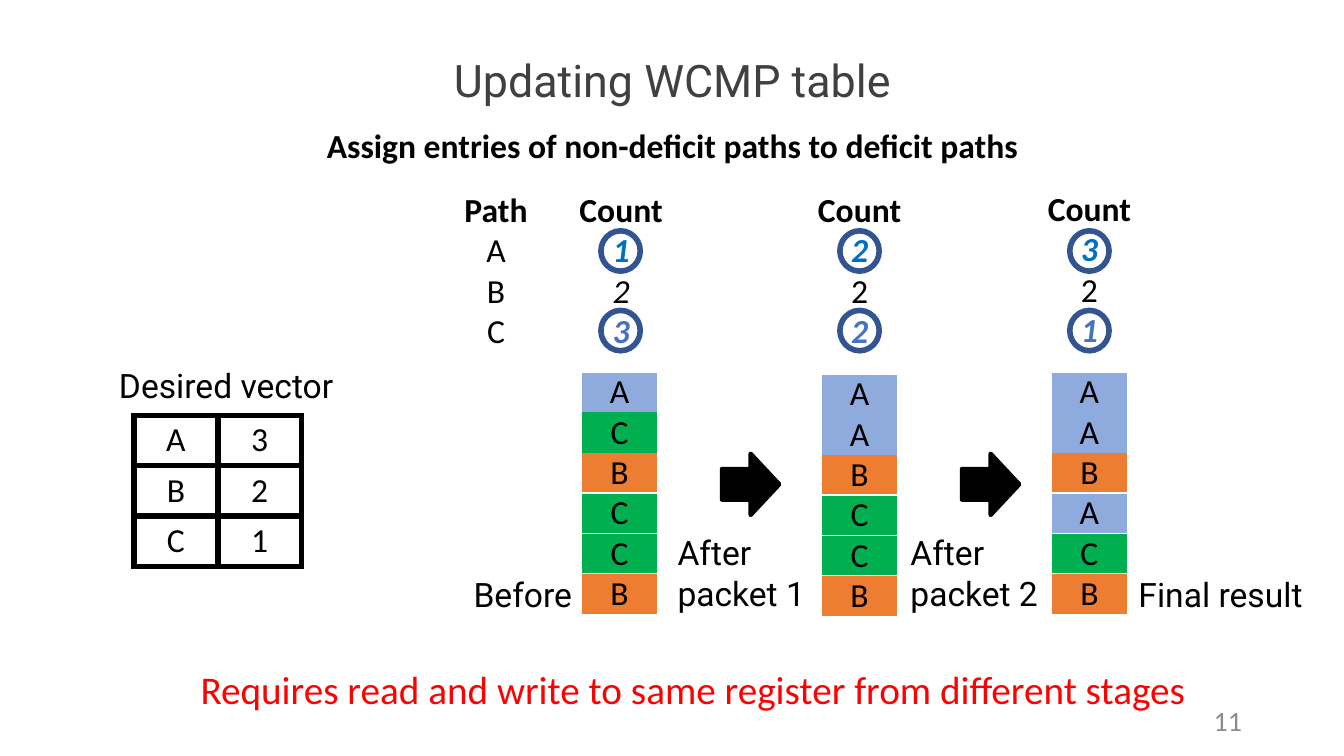
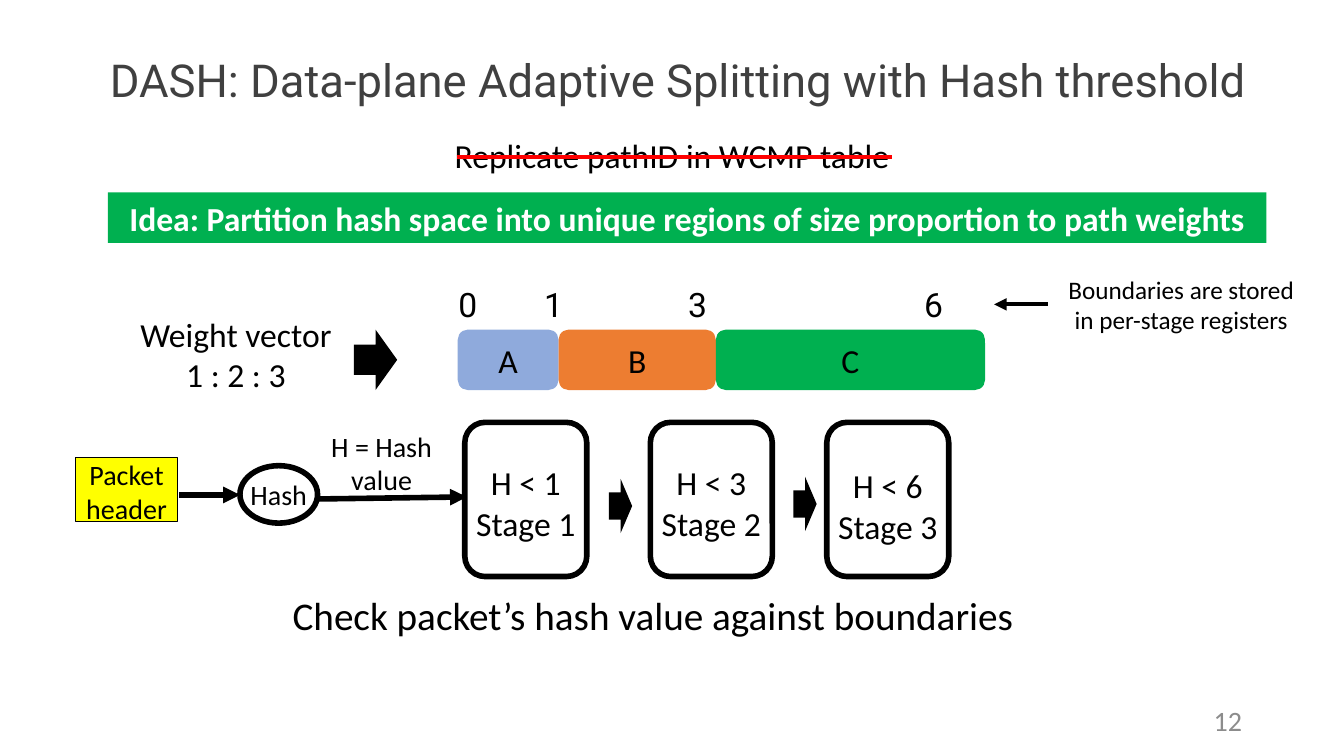
from dataclasses import dataclass

from lxml import etree
from pptx import Presentation
from pptx import util as u
from pptx.dml.color import RGBColor
from pptx.enum import shapes, text
from pptx.oxml.ns import qn

PX = 9144  # EMU in one px, 100 px to the inch
BLACK = RGBColor(0, 0, 0)
WHITE = RGBColor(255, 255, 255)
GREY = RGBColor(0x40, 0x40, 0x40)
PALE = RGBColor(0x8C, 0x8C, 0x8C)
RED = RGBColor(255, 0, 0)
YELLOW = RGBColor(255, 255, 0)
NAVY = RGBColor(0x32, 0x54, 0x91)
AZURE = RGBColor(0x00, 0x70, 0xC0)
BLUE = RGBColor(0x44, 0x72, 0xC4)
PATHS = {
    "A": RGBColor(0x8F, 0xAA, 0xDC),
    "B": RGBColor(0xED, 0x7D, 0x31),
    "C": RGBColor(0x00, 0xB0, 0x50),
}
GREEN = PATHS["C"]

BODY, HEAD = "Calibri", "Roboto"
LEFT, MID, RIGHT = text.PP_ALIGN.LEFT, text.PP_ALIGN.CENTER, text.PP_ALIGN.RIGHT
TOP, CENTER = text.MSO_ANCHOR.TOP, text.MSO_ANCHOR.MIDDLE
KIND = shapes.MSO_SHAPE


def px(*sizes):
    return [u.Emu(size * PX) for size in sizes]


@dataclass
class Cell:
    text: str
    color: RGBColor = BLACK
    bold: bool = False
    slant: bool = False
    fill: RGBColor = None
    sides: str = ""
    edge: RGBColor = WHITE
    line: float = 1


class Deck:
    def __init__(self, wide, high):
        self.show = Presentation()
        self.show.slide_width, self.show.slide_height = px(wide, high)
        self.page = None

    def slide(self, title, number, x, wide, size):
        """Start a slide with its title and page number."""
        self.page = self.show.slides.add_slide(self.show.slide_layouts[6])
        box = self.label([title], x, 40, wide, 85, size, GREY, font=HEAD, anchor=CENTER)
        box.text_frame.paragraphs[0].line_spacing = 0.9
        self.label([str(number)], 942, 695, 290, 40, 20, PALE, align=RIGHT, anchor=CENTER)

    def words(self, frame, lines, size=24, color=BLACK, bold=False, slant=False,
              font=BODY, align=MID):
        for i, line in enumerate(lines):
            para = frame.paragraphs[0] if i == 0 else frame.add_paragraph()
            para.alignment = align
            run = para.add_run()
            run.text = line
            run.font.name, run.font.size = font, u.Pt(size)
            run.font.bold, run.font.italic = bold, slant
            run.font.color.rgb = color

    def frame(self, frame, anchor, drop=0, wrap=True):
        frame.word_wrap = wrap
        frame.vertical_anchor = anchor
        frame.margin_left = frame.margin_right = frame.margin_bottom = 0
        frame.margin_top = px(drop)[0]

    def label(self, lines, x, y, wide, high, size=24, color=BLACK, anchor=TOP, **look):
        box = self.page.shapes.add_textbox(*px(x, y, wide, high))
        self.frame(box.text_frame, anchor, 5 if anchor == TOP else 0)
        self.words(box.text_frame, lines, size, color, **look)
        return box

    def shape(self, kind, x, y, wide, high, fill=None, edge=None, line=1, lines=(),
              anchor=CENTER, drop=0, **look):
        form = self.page.shapes.add_shape(kind, *px(x, y, wide, high))
        form.shadow.inherit = False
        if fill is None:
            form.fill.background()
        else:
            form.fill.solid()
            form.fill.fore_color.rgb = fill
        if edge is None:
            form.line.fill.background()
        else:
            form.line.color.rgb = edge
            form.line.width = u.Pt(line)
        if lines:
            self.frame(form.text_frame, anchor, drop, wrap=False)
            self.words(form.text_frame, lines, **look)

    def line(self, x1, y1, x2, y2, color=BLACK, width=4, arrow=True):
        link = self.page.shapes.add_connector(
            shapes.MSO_CONNECTOR.STRAIGHT, *px(x1, y1, x2, y2))
        link.line.color.rgb = color
        link.line.width = u.Pt(width)
        props = link._element.spPr
        if arrow:
            etree.SubElement(props.find(qn("a:ln")), qn("a:tailEnd"), type="triangle")
        etree.SubElement(props, qn("a:effectLst"))

    def table(self, x, y, wide, high, rows):
        """Draw rows of cells, each cell wide by high px."""
        count, cols = len(rows), len(rows[0])
        grid = self.page.shapes.add_table(
            count, cols, *px(x, y, wide * cols, high * count)).table
        grid.first_row = grid.horz_banding = False
        for r, row in enumerate(rows):
            for c, item in enumerate(row):
                self.cell(grid.cell(r, c), item)

    def cell(self, box, item):
        box.margin_left = box.margin_right = box.margin_top = box.margin_bottom = 0
        box.vertical_anchor = CENTER
        self.words(box.text_frame, [item.text], color=item.color,
                   bold=item.bold, slant=item.slant)
        props = box._tc.get_or_add_tcPr()
        for side in "LRTB":
            edge = etree.SubElement(props, qn("a:ln" + side), w=str(u.Pt(item.line)))
            if side in item.sides:
                fill = etree.SubElement(edge, qn("a:solidFill"))
                etree.SubElement(fill, qn("a:srgbClr"), val=str(item.edge))
            else:
                etree.SubElement(edge, qn("a:noFill"))
        if item.fill is None:
            box.fill.background()
        else:
            box.fill.solid()
            box.fill.fore_color.rgb = item.fill


def counts(first, second, third, slant=False):
    """Column of path counts with the two changed ones in blue."""
    return [Cell("Count", bold=True), Cell(first, AZURE, True, True),
            Cell(second, slant=slant), Cell(third, BLUE, True, True)]


def update(deck):
    deck.slide("Updating WCMP table", 11, 92, 1150, 32)
    deck.label(["Assign entries of non-deficit paths to deficit paths"],
               92, 119, 1150, 50, bold=True)
    deck.label(["Requires read and write to same register from different stages"],
               179, 655, 1016, 57, 28, RED)

    # Path counts at each step
    names = [Cell("Path", bold=True)] + [Cell(name) for name in PATHS]
    deck.table(430, 189, 124, 40, list(zip(names, counts("1", "2", "3", True))))
    deck.table(807, 189, 91, 40, [[item] for item in counts("2", "2", "2")])
    deck.table(1035, 188, 91, 40, [[item] for item in counts("3", "2", "1")])
    for x in (596, 833, 1061):
        for y in (229, 308):
            deck.shape(KIND.OVAL, x, y, 39, 40, edge=NAVY, line=4)

    # Table entries at each step
    sides = ["LTR", "", "LRB", "LTRB", "LTRB", "LTRB"]
    for x, y, entries in ((577, 369, "ACBCCB"), (815, 371, "AABCCB"),
                          (1043, 369, "AABACB")):
        deck.table(x, y, 75, 40, [[Cell(name, fill=PATHS[name], sides=side)]
                                  for name, side in zip(entries, sides)])
    for x in (716, 954):
        deck.shape(KIND.RIGHT_ARROW, x, 450, 57, 61, BLACK, BLACK, 3)

    # Step captions
    deck.label(["Before"], 459, 564, 119, 50, font=HEAD)
    deck.label(["Final result"], 1118, 564, 185, 50, font=HEAD)
    for x, packet in ((672, "packet 1"), (903, "packet 2")):
        deck.label(["After", packet], x, 523, 137, 91, font=HEAD, align=LEFT)

    # Desired vector
    deck.label(["Desired vector"], 118, 357, 238, 50, font=HEAD, align=LEFT)
    deck.table(133, 412, 83, 50, [
        [Cell(word, sides="LTRB", edge=BLACK, line=4.5) for word in pair]
        for pair in ("A3", "B2", "C1")])


def dash(deck):
    deck.slide("DASH: Data-plane Adaptive Splitting with Hash threshold",
               12, 58, 1229, 32.4)

    # Old approach struck out, new idea
    deck.label(["Replicate pathID in WCMP table"], 317, 129, 699, 50)
    deck.line(453, 156, 885, 156, RED, 3, arrow=False)
    deck.shape(KIND.RECTANGLE, 107, 191, 1149, 50, GREEN, color=WHITE, bold=True, lines=[
        "Idea: Partition hash space into unique regions of size proportion to path weights"])

    # Weights and hash regions
    deck.label(["Weight vector", "1 : 2 : 3"], 124, 306, 220, 91)
    deck.shape(KIND.RIGHT_ARROW, 351, 327, 43, 60, BLACK)
    left = 454
    for (name, color), wide in zip(PATHS.items(), (100, 156, 267)):
        deck.shape(KIND.ROUNDED_RECTANGLE, left, 327, wide, 60, color, lines=[name])
        left += wide
    for x, bound in ((464, "0"), (549, "1"), (692, "3"), (926, "6")):
        deck.label([bound], x - 20, 277, 40, 50, font=HEAD)
    deck.line(1039, 302, 986, 302, width=3)
    deck.label(["Boundaries are stored in per-stage registers"], 1052, 267, 239, 71, 18)

    # Packet to hash value
    deck.shape(KIND.RECTANGLE, 75, 454, 101, 63, YELLOW, BLACK, 0.5,
               ["Packet", "header"], TOP, size=20)
    deck.line(178, 491, 238, 491)
    deck.shape(KIND.OVAL, 238, 462, 77, 57, edge=BLACK, line=4, lines=["Hash"], size=20)
    deck.line(316, 495, 463, 493)
    deck.label(["H = Hash", "value"], 318, 421, 121, 77, 20)

    # Stages
    for i, (x, bound, drop) in enumerate(((461, 1, 6), (645, 3, 6), (820, 6, 12)), 1):
        deck.shape(KIND.ROUNDED_RECTANGLE, x, 419, 121, 153, edge=BLACK, line=4,
                   lines=[f"H < {bound}", f"Stage {i}"], drop=drop)
    for x, y in ((604, 475), (787, 473)):
        deck.shape(KIND.RIGHT_ARROW, x, y, 23, 54, BLACK)
    deck.label(["Check packet’s hash value against boundaries"], 276, 582, 743, 57, 28)


def main():
    deck = Deck(1333, 750)
    update(deck)
    dash(deck)
    deck.show.save("out.pptx")


if __name__ == "__main__":
    main()
